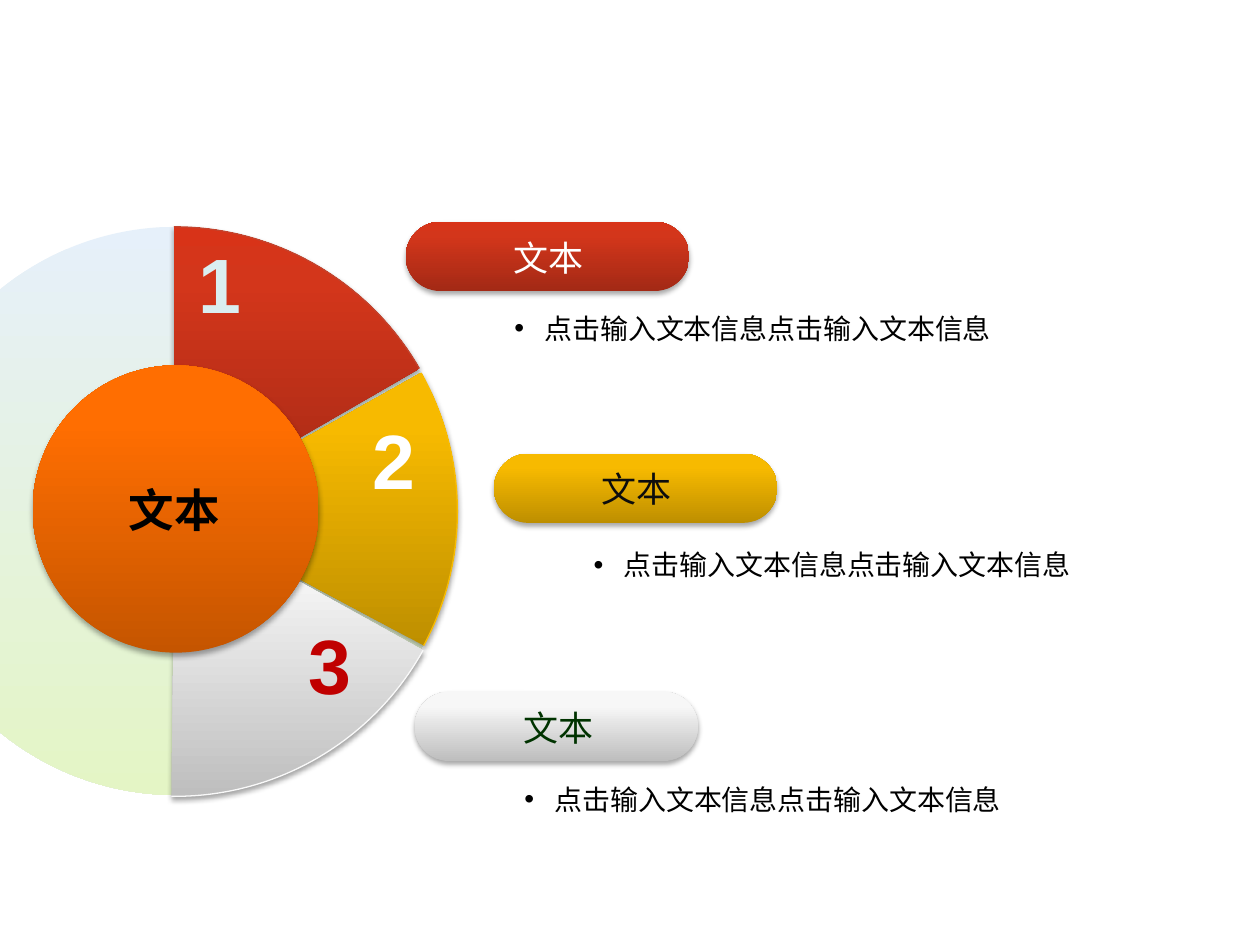
from copy import deepcopy
from dataclasses import dataclass
from math import cos, radians, sin, tan

from lxml.etree import SubElement as Sub
from pptx import Presentation
from pptx.dml.color import RGBColor as Rgb
from pptx.enum.shapes import MSO_SHAPE as Kind
from pptx.enum.text import MSO_ANCHOR as Anchor, PP_ALIGN as Align
from pptx.oxml.ns import qn
from pptx.util import Inches, Pt

SANS = "Arial"
CJK = "Noto Sans CJK KR"
LABEL = "文本"
NOTE = "点击输入文本信息点击输入文本信息"
RADIUS = 2.25


@dataclass
class Tone:
    dark: str
    mid: str
    light: str

    def stops(self) -> list:
        return [(0, self.dark), (80, self.mid), (100, self.light)]


@dataclass
class Part:
    num: str
    tone: Tone
    edge: str
    hub: tuple
    knots: tuple
    digit: tuple
    digit_ink: str
    pill: tuple
    label: tuple
    label_ink: str
    note: tuple


PARTS = [
    Part("1", Tone("A32915", "D3361B", "D83318"), "C3432D",
         (1.38, 4.05), (-90, -30), (1.53, 1.94), "DAEEF0",
         (3.22, 1.76), (3.44, 1.88), "FFFFFF", (3.59, 2.42)),
    Part("2", Tone("BE8F00", "F7BA00", "F8BB00"), "F9BC00",
         (1.38, 4.06), (-29.3, 0, 28.2), (2.91, 3.34), "FFFFFF",
         (3.92, 3.6), (4.14, 3.72), "0D0D0D", (4.22, 4.3)),
    Part("3", Tone("BEBEBE", "F7F7F7", "F8F8F8"), "F9F9F9",
         (1.39, 4.07), (29, 90, 90.75), (2.4, 4.97), "C00000",
         (3.29, 5.49), (3.52, 5.61), "003300", (3.67, 6.16)),
]


def ink(code: str) -> Rgb:
    return Rgb.from_string(code)


def shade(shape, stops: list, angle: int) -> None:
    shape.shadow.inherit = False
    shape.line.fill.background()
    shape.fill.gradient()
    shape.fill.gradient_angle = angle
    row = shape._element.spPr.find(qn("a:gradFill")).find(qn("a:gsLst"))
    for old in list(row):
        row.remove(old)
    for at, code in stops:
        stop = Sub(row, qn("a:gs"), pos=str(at * 1000))
        Sub(stop, qn("a:srgbClr"), val=code)


def cast(shape) -> None:
    box = shape._element.spPr.find(qn("a:effectLst"))
    dim = Sub(box, qn("a:outerShdw"), blurRad=str(Pt(3.1)),
              dist=str(Pt(1.8)), dir="5400000", algn="t", rotWithShape="0")
    tint = Sub(dim, qn("a:srgbClr"), val="000000")
    Sub(tint, qn("a:alpha"), val="35000")


def solid(slide, kind: Kind, at: tuple, size: tuple, stops: list, angle: int = 90):
    shape = slide.shapes.add_shape(kind, *map(Inches, at + size))
    shade(shape, stops, angle)
    return shape


def spot(hub: tuple, turn: float, pull: float = 0) -> tuple:
    c, s = cos(radians(turn)), sin(radians(turn))
    return (Inches(hub[0] + RADIUS * (c - pull * s)),
            Inches(hub[1] + RADIUS * (s + pull * c)))


def bend(shape, part: Part) -> None:
    face = next(shape._element.iter(qn("a:path")))
    for line, start, end in zip(face.findall(qn("a:lnTo")), part.knots, part.knots[1:]):
        pull = 4 / 3 * tan(radians(end - start) / 4)
        curve = [spot(part.hub, start, pull), spot(part.hub, end, -pull),
                 spot(part.hub, end)]
        line.tag = qn("a:cubicBezTo")
        for old in list(line):
            line.remove(old)
        for x, y in curve:
            Sub(line, qn("a:pt"), x=str(x - shape.left), y=str(y - shape.top))
    rim = deepcopy(face)
    for tail in list(rim)[len(part.knots):]:
        rim.remove(tail)
    rim.set("fill", "none")
    face.set("stroke", "0")
    face.addprevious(rim)


def wedge(slide, part: Part) -> None:
    ends = [spot(part.hub, turn) for turn in part.knots]
    pen = slide.shapes.build_freeform(*ends[0])
    pen.add_line_segments(ends[1:] + [tuple(map(Inches, part.hub))], close=False)
    shape = pen.convert_to_shape()
    face = next(shape._element.iter(qn("a:path")))
    Sub(face, qn("a:close"))
    bend(shape, part)
    shade(shape, part.tone.stops(), 90)
    cast(shape)
    shape.line.color.rgb = ink(part.edge)
    shape.line.width = Pt(0.75)


def write(slide, text: str, at: tuple, size: tuple, points: int, code: str,
          font: str = SANS, bold: bool = False, wrap: bool = False,
          dot: bool = False) -> None:
    frame = slide.shapes.add_textbox(*map(Inches, at + size)).text_frame
    frame.word_wrap = wrap
    frame.vertical_anchor = Anchor.TOP if wrap else Anchor.MIDDLE
    if not wrap:
        frame.margin_left = frame.margin_right = 0
    para = frame.paragraphs[0]
    para.text = text
    para.alignment = Align.CENTER
    if dot:
        props = para._p.get_or_add_pPr()
        props.set("marL", str(Inches(0.24)))
        props.set("indent", str(-Inches(0.24)))
        Sub(props, qn("a:buFont"), typeface=SANS)
        Sub(props, qn("a:buChar"), char="•")
    para.font.name = font
    para.font.size = Pt(points)
    para.font.bold = bold
    para.font.color.rgb = ink(code)


def main() -> None:
    deck = Presentation()
    deck.slide_width, deck.slide_height = Inches(10), Inches(7.5)
    slide = deck.slides.add_slide(deck.slide_layouts[6])

    solid(slide, Kind.OVAL, (-0.83, 1.8), (4.45, 4.51),
          [(0, "E6F0FA"), (100, "E4F5C5")], 270)
    for part in PARTS:
        wedge(slide, part)
    core = Tone("C55500", "FF6E01", "FF6F02")
    cast(solid(slide, Kind.OVAL, (0.26, 2.9), (2.27, 2.28), core.stops()))

    for part in PARTS:
        pill = solid(slide, Kind.ROUNDED_RECTANGLE, part.pill, (2.25, 0.55),
                     part.tone.stops())
        pill.adjustments[0] = 0.5
        cast(pill)
    for part in PARTS:
        write(slide, LABEL, part.label, (1.83, 0.32), 20, part.label_ink, CJK)
    for part in PARTS:
        write(slide, part.num, part.digit, (0.43, 0.6), 44, part.digit_ink,
              bold=True)
    write(slide, LABEL, (0.68, 3.78), (1.41, 0.54), 26, "000000",
          bold=True, wrap=True)
    for part in PARTS:
        write(slide, NOTE, part.note, (4.77, 0.37), 16, "000000",
              wrap=True, dot=True)

    deck.save("out.pptx")


if __name__ == "__main__":
    main()
